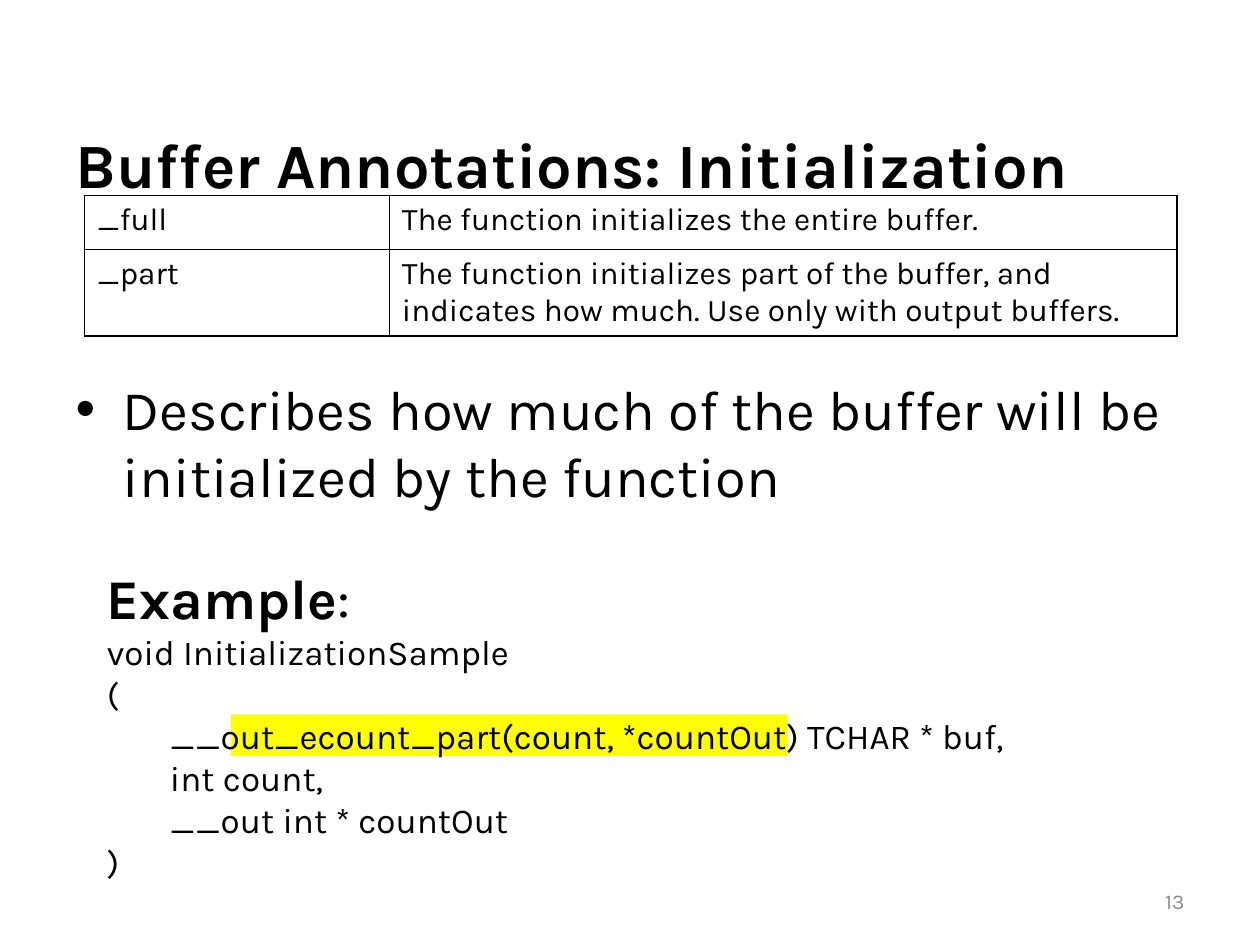
"""Build the slide on buffer initialization annotations."""
from lxml import etree
from pptx import Presentation
from pptx.dml.color import RGBColor
from pptx.enum.shapes import MSO_SHAPE
from pptx.enum.text import MSO_ANCHOR, MSO_AUTO_SIZE, PP_ALIGN
from pptx.oxml.ns import qn
from pptx.util import Inches, Pt

RECTANGLE = MSO_SHAPE.RECTANGLE
TOP, MIDDLE = MSO_ANCHOR.TOP, MSO_ANCHOR.MIDDLE
LEFT, RIGHT = PP_ALIGN.LEFT, PP_ALIGN.RIGHT
NO_FIT = MSO_AUTO_SIZE.NONE

THEME = {
    "font": "Karla", "ink": "000000", "muted": "8C8C8C", "highlight": "FFFF00",
    "title": 36, "body": 32, "code": 20, "table": 18, "number": 12, "border": 1,
}

TITLE = "Buffer Annotations: Initialization"
SUMMARY = "Describes how much of the buffer will be initialized by the function"
PAGE_NUMBER = "13"
ANNOTATIONS = [
    ("_full", "The function initializes the entire buffer."),
    ("_part", "The function initializes part of the buffer, and indicates how much. "
              "Use only with output buffers."),
]
CODE = [
    "void InitializationSample",
    "(",
    "\t__out_ecount_part(count, *countOut) TCHAR * buf,",
    "\tint count,",
    "\t__out int * countOut",
    ")",
]
EXAMPLE = [[("Example", "body", True), (":", "body", False)]]
EXAMPLE += [[(line, "code", False)] for line in CODE]

BOXES = {
    "highlight": (1.83, 5.67, 4.42, 0.33),
    "title": (0.5, 0.92, 9, 0.75),
    "summary": (0.5, 2.92, 9, 1.42),
    "number": (7.17, 6.95, 2.33, 0.4),
    "table": (0.67, 1.55, 8.67, 0.86),
    "example": (0.75, 4.42, 8.75, 3.6),
}
COLUMN_WIDTHS = (2.42, 6.25)
BORDER_TAGS = ("a:lnL", "a:lnR", "a:lnT", "a:lnB")


def box(part):
    return [Inches(length) for length in BOXES[part]]


def write(frame, paragraphs, color="ink", align=LEFT, anchor=TOP):
    layout = {"word_wrap": True, "auto_size": NO_FIT, "vertical_anchor": anchor}
    for name, value in layout.items():
        setattr(frame, name, value)
    write_paragraphs(frame, paragraphs, color, align)


def write_paragraphs(frame, paragraphs, color="ink", align=LEFT):
    for index, runs in enumerate(paragraphs):
        paragraph = frame.add_paragraph() if index else frame.paragraphs[0]
        paragraph.alignment = align
        for text, size, bold in runs:
            run = paragraph.add_run()
            run.text = text
            style = {"name": THEME["font"], "size": Pt(THEME[size]), "bold": bold}
            for name, value in style.items():
                setattr(run.font, name, value)
            run.font.color.rgb = RGBColor.from_string(THEME[color])


def fill_placeholder(placeholder, part, runs, anchor):
    placeholder.left, placeholder.top, placeholder.width, placeholder.height = box(part)
    write(placeholder.text_frame, [runs], anchor=anchor)


def add_highlight(slide):
    marker = slide.shapes.add_shape(RECTANGLE, *box("highlight"))
    marker.shadow.inherit = False
    marker.fill.solid()
    marker.fill.fore_color.rgb = RGBColor.from_string(THEME["highlight"])
    marker.line.fill.background()
    slide.shapes._spTree.insert(2, marker._element)


def add_borders(cell):
    properties = cell._tc.get_or_add_tcPr()
    for position, tag in enumerate(BORDER_TAGS):
        line = etree.Element(qn(tag), w=str(Pt(THEME["border"])))
        fill = etree.SubElement(line, qn("a:solidFill"))
        etree.SubElement(fill, qn("a:srgbClr"), val=THEME["ink"])
        properties.insert(position, line)


def add_annotations(slide):
    frame = slide.shapes.add_table(len(ANNOTATIONS), len(COLUMN_WIDTHS), *box("table"))
    table = frame.table
    table.first_row = table.horz_banding = False
    for column, width in zip(table.columns, COLUMN_WIDTHS):
        column.width = Inches(width)
    for row, texts in zip(table.rows, ANNOTATIONS):
        for cell, text in zip(row.cells, texts):
            cell.fill.background()
            write_paragraphs(cell.text_frame, [[(text, "table", False)]])
            add_borders(cell)


def main():
    deck = Presentation()
    deck.slide_width, deck.slide_height = Inches(10), Inches(7.5)
    slide = deck.slides.add_slide(deck.slide_layouts[1])
    title, summary = slide.placeholders
    fill_placeholder(title, "title", [(TITLE, "title", True)], MIDDLE)
    fill_placeholder(summary, "summary", [(SUMMARY, "body", False)], TOP)
    add_highlight(slide)
    number = slide.shapes.add_textbox(*box("number"))
    write(number.text_frame, [[(PAGE_NUMBER, "number", False)]], "muted", RIGHT, MIDDLE)
    add_annotations(slide)
    example = slide.shapes.add_textbox(*box("example"))
    write(example.text_frame, EXAMPLE)
    deck.save("out.pptx")


if __name__ == "__main__":
    main()
